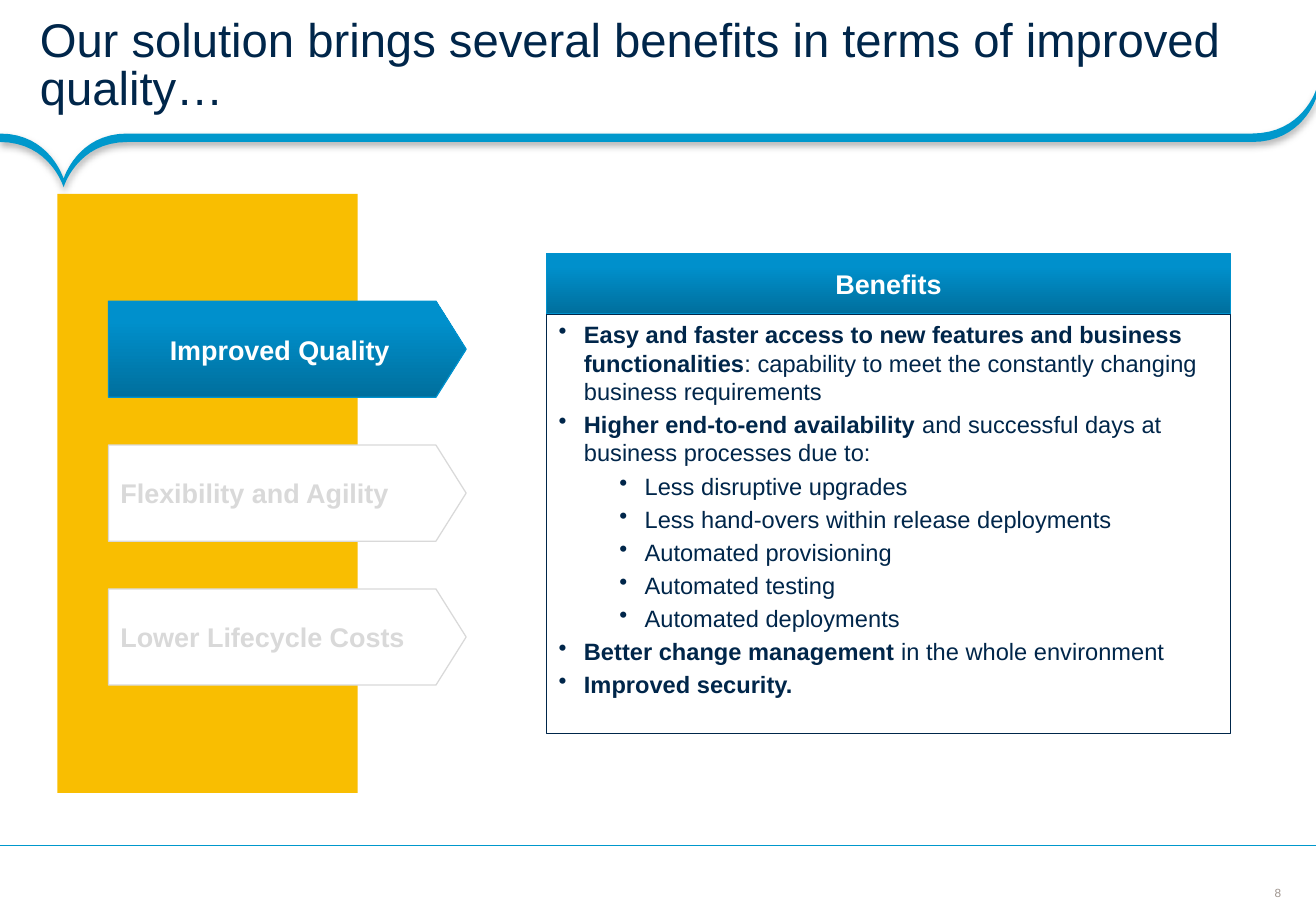
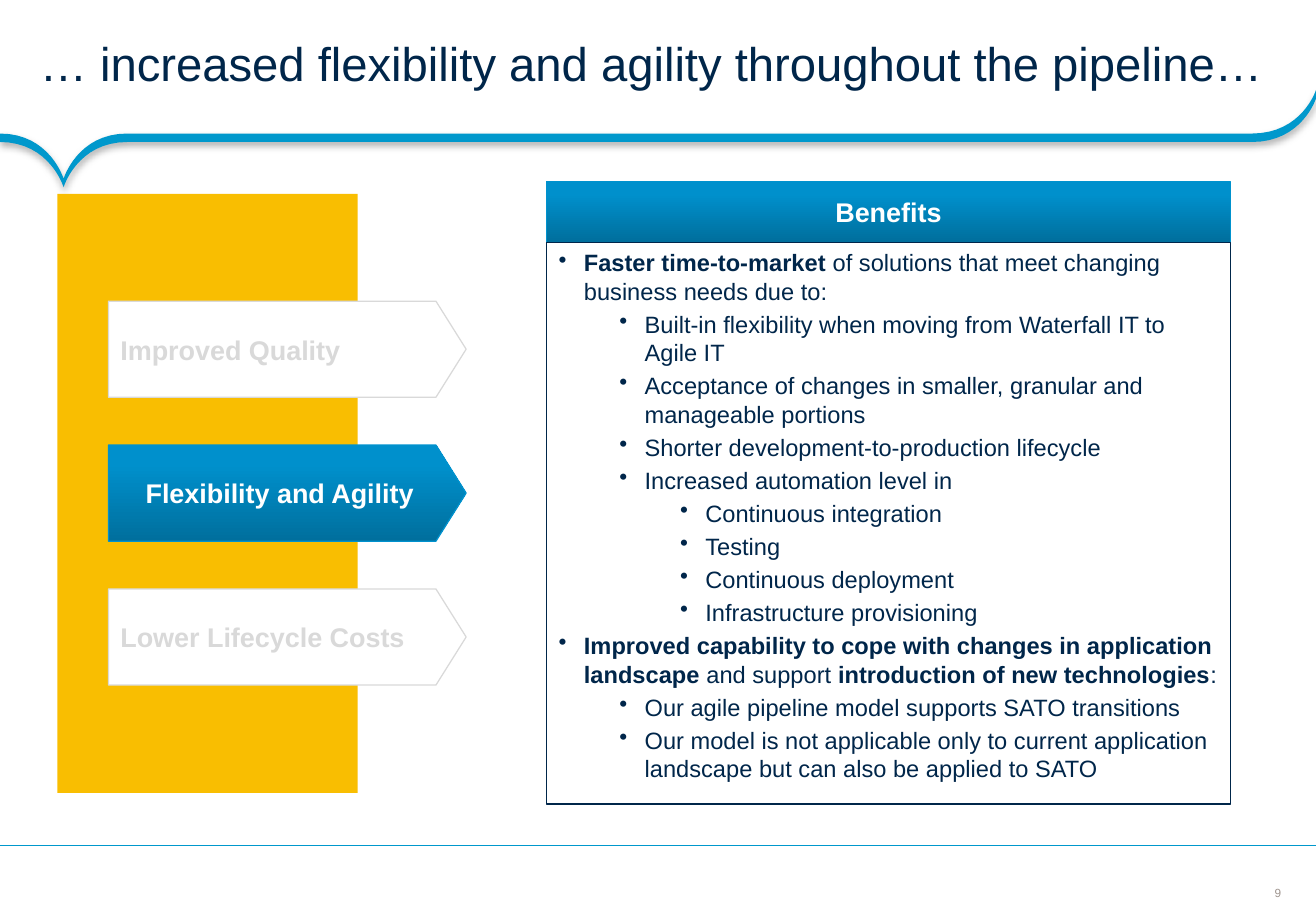
import copy
import pptx
import pptx.dml.color
import pptx.enum.shapes
import pptx.enum.text
import pptx.oxml
import pptx.oxml.ns
import pptx.oxml.xmlchemy
import pptx.util

Pt = pptx.util.Pt
SHAPE = pptx.enum.shapes.MSO_SHAPE
ALIGN = pptx.enum.text.PP_ALIGN
ANCHOR = pptx.enum.text.MSO_ANCHOR
qn = pptx.oxml.ns.qn
OxmlElement = pptx.oxml.xmlchemy.OxmlElement

COLORS = {
    "navy": "00264A", "blue": "0098CC", "blue_edge": "0092CE",
    "yellow": "F9BE01", "white": "FFFFFF", "faded": "D9D9D9",
    "number": "9F958F",
}
GRADIENT = [(0, "006F9D"), (0.8, "0090CC"), (1, "0091CD")]
FONT = "Arial"
WIDTH, HEIGHT = 780, 540
BAND_THICKNESS = 5
TOPICS = ["Improved Quality", "Flexibility and Agility", "Lower Lifecycle Costs"]

# Each bullet is (level, runs); each run is (text, bold).
SLIDES = [
    {
        "number": 8,
        "title": "Our solution brings several benefits in terms of improved quality…",
        "active": 0,
        "panel": (150.2, 248.4),
        "bullets": [
            (0, [("Easy and faster access to new features and business functionalities", True),
                 (": capability to meet the constantly changing business requirements", False)]),
            (0, [("Higher end-to-end availability", True),
                 (" and successful days at business processes due to:", False)]),
            (1, [("Less disruptive upgrades", False)]),
            (1, [("Less hand-overs within release deployments", False)]),
            (1, [("Automated provisioning", False)]),
            (1, [("Automated testing", False)]),
            (1, [("Automated deployments", False)]),
            (0, [("Better change management", True), (" in the whole environment", False)]),
            (0, [("Improved security.", True)]),
        ],
    },
    {
        "number": 9,
        "title": "… increased flexibility and agility throughout the pipeline…",
        "active": 1,
        "panel": (107.7, 333),
        "bullets": [
            (0, [("Faster time-to-market ", True),
                 ("of solutions that meet changing business needs due to:", False)]),
            (1, [("Built-in flexibility when moving from Waterfall IT to Agile IT", False)]),
            (1, [("Acceptance of changes in smaller, granular and manageable portions", False)]),
            (1, [("Shorter development-to-production lifecycle", False)]),
            (1, [("Increased automation level in", False)]),
            (2, [("Continuous integration", False)]),
            (2, [("Testing", False)]),
            (2, [("Continuous deployment", False)]),
            (2, [("Infrastructure provisioning", False)]),
            (0, [("Improved capability to cope with changes in application landscape", True),
                 (" and support ", False),
                 ("introduction of new technologies", True), (":", False)]),
            (1, [("Our agile pipeline model supports SATO transitions", False)]),
            (1, [("Our model is not applicable only to current application landscape "
                  "but can also be applied to SATO", False)]),
        ],
    },
]


def rgb(name):
    return pptx.dml.color.RGBColor.from_string(COLORS.get(name, name))


def add_run(p, text, size, color, bold=False):
    r = p.add_run()
    r.text = text
    r.font.name = FONT
    r.font.size = Pt(size)
    r.font.bold = bold
    r.font.color.rgb = rgb(color)


def set_frame(tf, margins, anchor):
    tf.word_wrap = True
    tf.auto_size = pptx.enum.text.MSO_AUTO_SIZE.NONE
    tf.vertical_anchor = anchor
    tf.margin_left, tf.margin_top, tf.margin_right, tf.margin_bottom = map(Pt, margins)


def add_box(slide, kind, box, fill, line=None):
    sp = slide.shapes.add_shape(kind, *map(Pt, box))
    sp.shadow.inherit = False
    if fill == "gradient":
        fill_gradient(sp)
    else:
        sp.fill.solid()
        sp.fill.fore_color.rgb = rgb(fill)
    if line:
        sp.line.color.rgb = rgb(line)
        sp.line.width = Pt(0.75)
    else:
        sp.line.fill.background()
    return sp


def fill_gradient(sp):
    """Fill from dark at the bottom to light at the top, with three stops."""
    sp.fill.gradient()
    sp.fill.gradient_angle = 90
    stops = sp._element.spPr.find(".//" + qn("a:gsLst"))
    stops.append(copy.deepcopy(stops[0]))
    for stop, (position, color) in zip(sp.fill.gradient_stops, GRADIENT):
        stop.position = position
        stop.color.rgb = rgb(color)


def add_label(slide, kind, box, text, active=True):
    """Add a labelled shape, highlighted when active and faded otherwise."""
    if active:
        fill, line, color, margins, align = (
            "gradient", "blue_edge", "white", (14.4,) * 4, ALIGN.CENTER)
    else:
        fill, line, color, margins, align = (
            "white", "faded", "faded", (7.2, 3.6, 7.2, 3.6), ALIGN.LEFT)
    sp = add_box(slide, kind, box, fill, line)
    set_frame(sp.text_frame, margins, ANCHOR.MIDDLE)
    p = sp.text_frame.paragraphs[0]
    p.alignment = align
    if not active:
        p.space_before = Pt(3.2)
    add_run(p, text, 16, color, bold=True)
    return sp


def bezier(p0, p1, p2, p3, steps=16):
    for i in range(steps + 1):
        t = i / steps
        weights = ((1 - t) ** 3, 3 * t * (1 - t) ** 2, 3 * t * t * (1 - t), t ** 3)
        yield tuple(sum(w * p[axis] for w, p in zip(weights, (p0, p1, p2, p3)))
                    for axis in (0, 1))


def add_title_band(slide):
    """Add the curved band whose lower edge repeats the upper one."""
    level, tip, corner = 79.2, (37.7, 106), (WIDTH, 53.4)
    upper = [
        *bezier((0, level), (29.6, level), tip, tip),
        *bezier(tip, tip, (45.8, level), (75.4, level)),
        *bezier((742, level), (771.8, level), corner, corner),
    ]
    lower = [(x, y + BAND_THICKNESS) for x, y in reversed(upper)]
    outline = [(Pt(x), Pt(y)) for x, y in upper + lower]
    builder = slide.shapes.build_freeform(*outline[0])
    builder.add_line_segments(outline[1:], close=True)
    sp = builder.convert_to_shape()
    sp.fill.solid()
    sp.fill.fore_color.rgb = rgb("blue")
    sp.line.fill.background()
    sp.shadow.inherit = False
    sp._element.spPr.find(qn("a:effectLst")).append(pptx.oxml.parse_xml(
        f'<a:outerShdw {pptx.oxml.ns.nsdecls("a")} blurRad="{Pt(4)}" dist="{Pt(2)}" '
        'dir="5400000" rotWithShape="0"><a:srgbClr val="000000">'
        '<a:alpha val="31000"/></a:srgbClr></a:outerShdw>'))


def add_footer(slide, number):
    line = slide.shapes.add_connector(
        pptx.enum.shapes.MSO_CONNECTOR.STRAIGHT, Pt(WIDTH), Pt(501), 0, Pt(501))
    line.line.color.rgb = rgb("blue")
    line.line.width = Pt(0.75)
    line._element.spPr.append(OxmlElement("a:effectLst"))
    sp = slide.shapes.add_textbox(Pt(747.5), Pt(524.5), Pt(20), Pt(9))
    set_frame(sp.text_frame, (0,) * 4, ANCHOR.MIDDLE)
    p = sp.text_frame.paragraphs[0]
    p.alignment = ALIGN.CENTER
    add_run(p, str(number), 7, "number")


def set_title(slide, text):
    sp = slide.shapes.title
    sp.left, sp.top, sp.width, sp.height = 0, 0, Pt(WIDTH), Pt(79.2)
    set_frame(sp.text_frame, (23.6, 3, 13, 3), ANCHOR.MIDDLE)
    p = sp.text_frame.paragraphs[0]
    p.alignment = ALIGN.LEFT
    p.line_spacing = 0.85
    add_run(p, text, 28, "navy")


def add_topics(slide, active):
    add_box(slide, SHAPE.RECTANGLE, (34, 115, 178, 355), "yellow")
    for i, topic in enumerate(TOPICS):
        sp = add_label(slide, SHAPE.PENTAGON, (64.3, 178.5 + 85.3 * i, 212, 57),
                       topic, i == active)
        sp.adjustments[0] = 0.314


def add_bullet(p, level, runs):
    p.space_before = Pt(2.8)
    p.alignment = ALIGN.LEFT
    props = p._p.get_or_add_pPr()
    props.set("marL", str(Pt(15 + 36 * level)))
    props.set("indent", str(Pt(-15)))
    bullet = OxmlElement("a:buChar")
    bullet.set("char", "•")
    props.append(bullet)
    for text, bold in runs:
        add_run(p, text, 14, "navy", bold)


def add_benefits(slide, top, body_height, bullets):
    left, width, header_height = 324, 405.2, 36
    add_label(slide, SHAPE.RECTANGLE, (left, top, width, header_height), "Benefits")
    sp = add_box(slide, SHAPE.RECTANGLE,
                 (left, top + header_height, width, body_height), "white", "navy")
    tf = sp.text_frame
    set_frame(tf, (7.2, 3.6, 7.2, 3.6), ANCHOR.TOP)
    for i, (level, runs) in enumerate(bullets):
        add_bullet(tf.add_paragraph() if i else tf.paragraphs[0], level, runs)


def main():
    prs = pptx.Presentation()
    prs.slide_width, prs.slide_height = Pt(WIDTH), Pt(HEIGHT)
    for content in SLIDES:
        slide = prs.slides.add_slide(prs.slide_layouts[5])
        add_title_band(slide)
        add_footer(slide, content["number"])
        set_title(slide, content["title"])
        add_topics(slide, content["active"])
        add_benefits(slide, *content["panel"], content["bullets"])
    prs.save("out.pptx")


if __name__ == "__main__":
    main()
